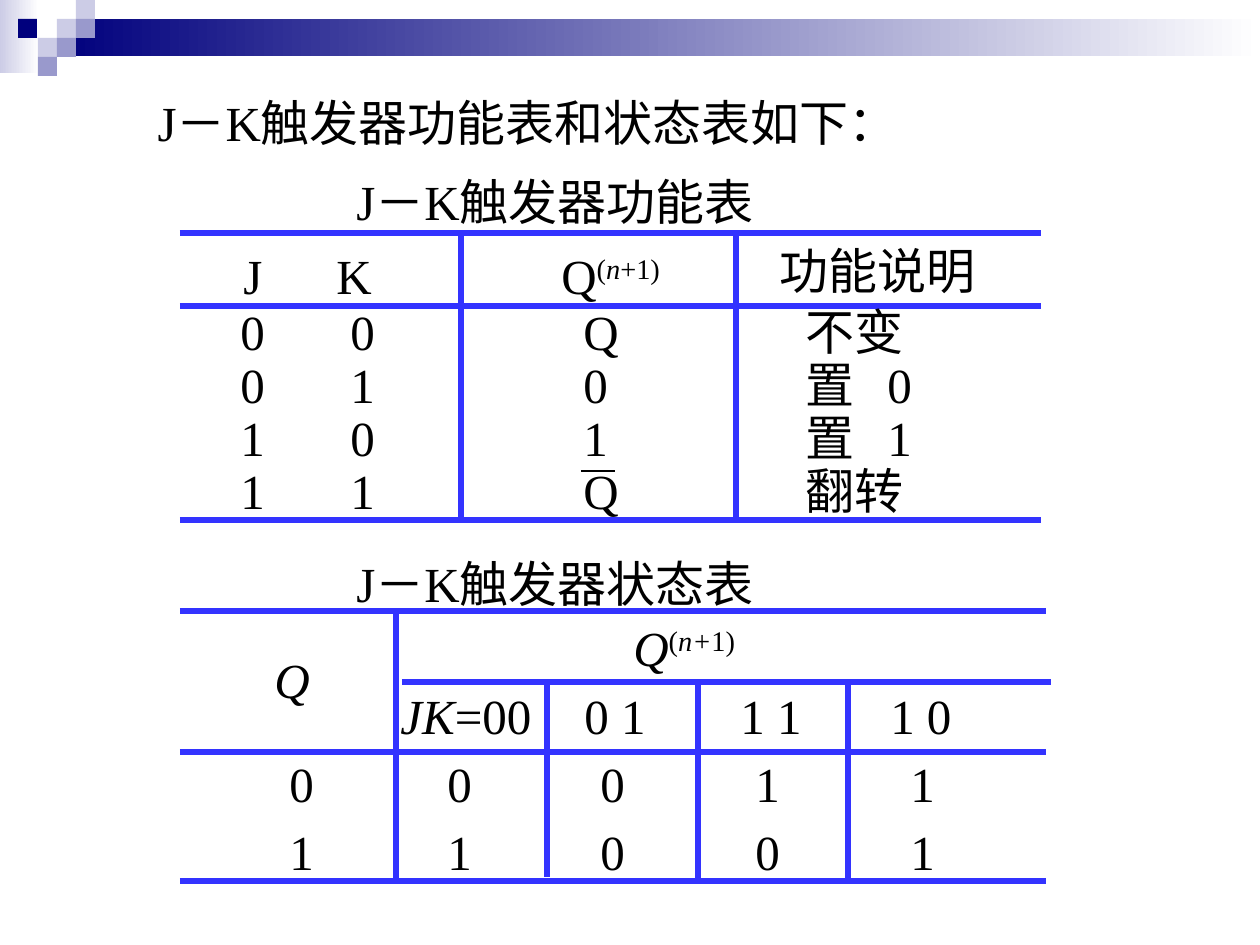
from dataclasses import dataclass

from lxml import etree
from pptx import Presentation
from pptx.dml.color import RGBColor
from pptx.enum.shapes import MSO_CONNECTOR, MSO_SHAPE
from pptx.enum.text import MSO_ANCHOR, MSO_AUTO_SIZE, PP_ALIGN
from pptx.oxml.ns import qn
from pptx.util import Emu, Pt

STRAIGHT = MSO_CONNECTOR.STRAIGHT
RECTANGLE = MSO_SHAPE.RECTANGLE
TOP = MSO_ANCHOR.TOP
NO_AUTOFIT = MSO_AUTO_SIZE.NONE
LEFT, CENTER = PP_ALIGN.LEFT, PP_ALIGN.CENTER
TITLE_ONLY = 5
PX_PER_INCH = 126


@dataclass(frozen=True)
class Theme:
    font: str = "Times New Roman"
    size: int = 28
    text: str = "000000"
    rule: str = "3333FF"
    rule_width: float = 3
    overline_width: float = 1.5
    navy: str = "00007D"
    violet: str = "9999CC"
    lavender: str = "CCCCE6"
    white: str = "FFFFFF"


THEME = Theme()
ITALIC = {"italic": True}
RAISED = {"raised": True}
RAISED_ITALIC = {"italic": True, "raised": True}


def px(value):
    return Emu(round(value * 914400 / PX_PER_INCH))


def color(name):
    return RGBColor.from_string(name)


def apply_format(target, values):
    for name, value in values.items():
        setattr(target, name, value)


def add_block(slide, left, top, width, height, *colors):
    """Rectangle with one solid colour, or two blended from left to right."""
    shape = slide.shapes.add_shape(RECTANGLE, *map(px, (left, top, width, height)))
    shape.shadow.inherit = False
    shape.line.fill.background()
    if len(colors) == 1:
        shape.fill.solid()
        shape.fill.fore_color.rgb = color(colors[0])
        return
    shape.fill.gradient()
    shape.fill.gradient_angle = 0
    for stop, name in zip(shape.fill.gradient_stops, colors):
        stop.color.rgb = color(name)


def add_rule(slide, start, end, name=THEME.rule, width=THEME.rule_width):
    line = slide.shapes.add_connector(STRAIGHT, *map(px, (*start, *end)))
    line.line.color.rgb = color(name)
    line.line.width = Pt(width)
    etree.SubElement(line._element.spPr, qn("a:effectLst"))


def add_tab_stop(paragraph, position):
    tabs = etree.SubElement(paragraph._p.get_or_add_pPr(), qn("a:tabLst"))
    etree.SubElement(tabs, qn("a:tab"), pos=str(px(position)), algn="l")


def add_run(paragraph, text, style):
    run = paragraph.add_run()
    run.text = text
    apply_format(run.font, {"name": THEME.font, "size": Pt(THEME.size),
                            "italic": style.get("italic", False)})
    run.font.color.rgb = color(THEME.text)
    if style.get("raised"):
        run._r.get_or_add_rPr().set("baseline", "30000")


def write_text(shape, lines, spacing=1.0, align=LEFT, tab=None):
    """Each line is a plain string or a list of (text, style) runs."""
    frame = shape.text_frame
    apply_format(frame, {"auto_size": NO_AUTOFIT, "word_wrap": tab is not None,
                         "vertical_anchor": TOP})
    for index, line in enumerate(lines):
        paragraph = frame.add_paragraph() if index else frame.paragraphs[0]
        if tab is not None:
            add_tab_stop(paragraph, tab)
        apply_format(paragraph, {"alignment": align, "line_spacing": spacing})
        runs = [(line, {})] if isinstance(line, str) else line
        for text, style in runs:
            add_run(paragraph, text, style)


def add_text(slide, left, top, width, height, *lines, **layout):
    box = slide.shapes.add_textbox(*map(px, (left, top, width, height)))
    write_text(box, lines, **layout)


def add_title(slide, text):
    title = slide.shapes.title
    apply_format(title, {"left": px(145), "top": px(86),
                         "width": px(800), "height": px(72)})
    write_text(title, [text])


def add_header_band(slide):
    add_block(slide, 0, 0, 39, 73, THEME.lavender, THEME.white)
    add_block(slide, 57, 19, 1203, 37, THEME.navy, THEME.white)
    squares = [(57, 19, THEME.lavender), (76, 0, THEME.lavender),
               (76, 19, THEME.violet), (38, 38, THEME.lavender),
               (18, 19, THEME.navy), (57, 38, THEME.violet),
               (38, 57, THEME.violet)]
    for left, top, name in squares:
        add_block(slide, left, top, 19, 19, name)


def add_function_table(slide):
    add_text(slide, 344, 165, 457, 72, "J－K触发器功能表")
    # Rules
    for y in (233, 306, 520):
        add_rule(slide, (180, y), (1041, y))
    add_rule(slide, (461, 233), (461, 517))
    add_rule(slide, (736, 231), (736, 522))
    # Headings
    add_text(slide, 231, 233, 165, 78, "J\tK", spacing=1.1, tab=93)
    add_text(slide, 549, 233, 123, 78,
             [("Q", {}), ("(", RAISED), ("n", RAISED_ITALIC), ("+1)", RAISED)],
             spacing=1.1)
    add_text(slide, 767, 229, 221, 78, "功能说明", spacing=1.1)
    # Columns
    add_text(slide, 228, 302, 170, 224, "0\t0", "0\t1", "1\t0", "1\t1",
             spacing=0.9, tab=110)
    add_text(slide, 571, 302, 73, 224, "Q", "0", "1", "Q", spacing=0.9)
    add_text(slide, 793, 302, 142, 224, "不变", "置\t0", "置\t1", "翻转",
             spacing=0.9, tab=82)
    # Bar over the inverted Q
    add_rule(slide, (581, 471), (615, 471), THEME.text, THEME.overline_width)


def add_state_table(slide):
    add_text(slide, 344, 547, 457, 72, "J－K触发器状态表")
    # Rules
    for y in (611, 752, 881):
        add_rule(slide, (180, y), (1046, y))
    add_rule(slide, (402, 682), (1051, 682))
    add_rule(slide, (396, 612), (396, 884))
    for x, bottom in ((547, 877), (698, 881), (848, 880)):
        add_rule(slide, (x, 680), (x, bottom))
    # Headings
    add_text(slide, 262, 650, 60, 66, [("Q", ITALIC)], spacing=0.9, align=CENTER)
    add_text(slide, 621, 611, 126, 72,
             [("Q", ITALIC), ("(", RAISED), ("n+", RAISED_ITALIC), ("1)", RAISED)])
    add_text(slide, 388, 679, 156, 72, [("JK", ITALIC), ("=00", {})])
    for left, inputs in ((572, "0 1"), (728, "1 1"), (878, "1 0")):
        add_text(slide, left, 679, 86, 72, inputs)
    # Present state, then next state for each input pair
    for top, values in ((747, "00011"), (815, "11001")):
        for left, value in zip((277, 435, 588, 743, 898), values):
            add_text(slide, left, top, 49, 72, value)


def main():
    presentation = Presentation()
    presentation.slide_width = px(1260)
    presentation.slide_height = px(945)
    slide = presentation.slides.add_slide(presentation.slide_layouts[TITLE_ONLY])
    add_header_band(slide)
    add_title(slide, "J－K触发器功能表和状态表如下：")
    add_function_table(slide)
    add_state_table(slide)
    presentation.save("out.pptx")


if __name__ == "__main__":
    main()
